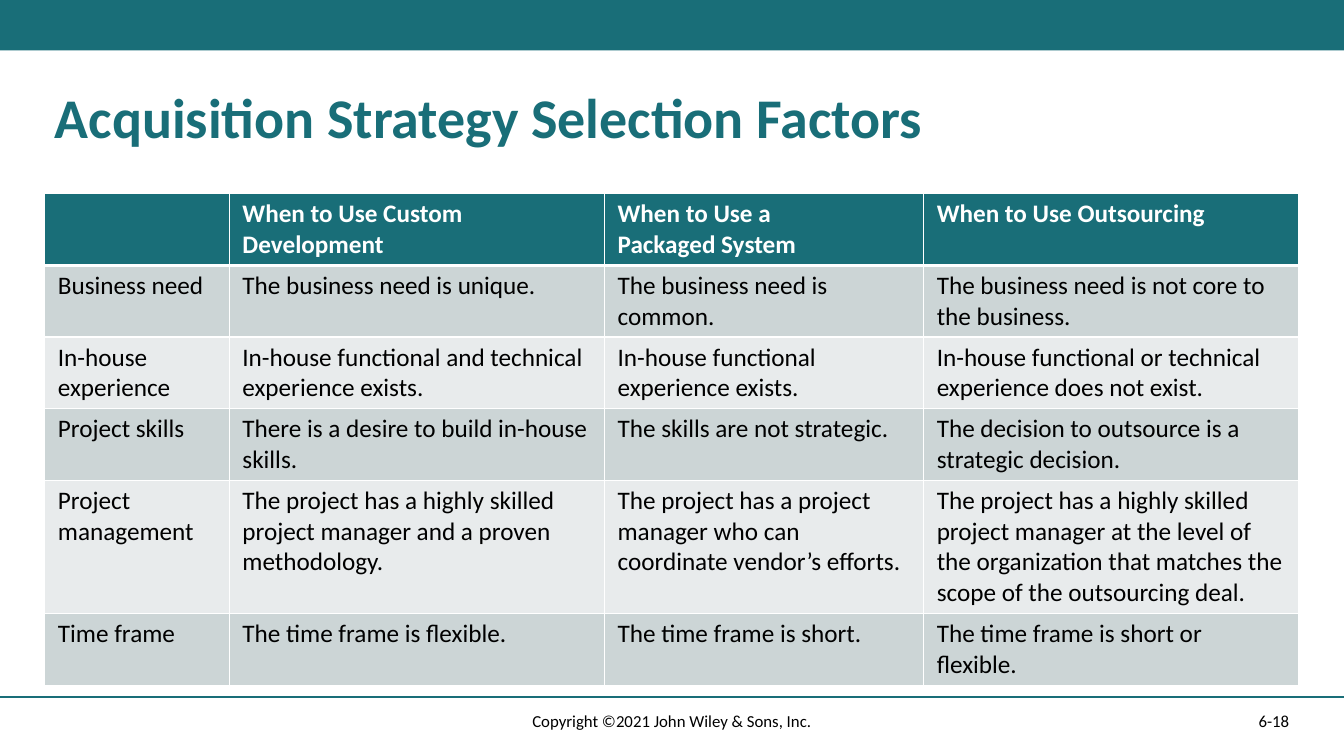
from dataclasses import dataclass

from lxml import etree
from pptx import Presentation
from pptx import util as u
from pptx.dml import color as c
from pptx.enum import shapes, text
from pptx.oxml import ns

TEAL, WHITE, BLACK = "196E78", "FFFFFF", "000000"
BANDS = ("CCD5D6", "E8EBEC")
SLIDE_WIDTH, SLIDE_HEIGHT = 960, 540
MARGIN = 32
COLUMN_WIDTHS = (131.8, 268, 228, 268)
ROW_HEIGHTS = (51, 51, 51, 51, 95.4, 51)
FACTORS = (
    ("", "When to Use Custom\nDevelopment", "When to Use a\nPackaged System",
     "When to Use Outsourcing"),
    ("Business need", "The business need is unique.",
     "The business need is common.",
     "The business need is not core to the business."),
    ("In-house experience",
     "In-house functional and technical experience exists.",
     "In-house functional\nexperience exists.",
     "In-house functional or technical\nexperience does not exist."),
    ("Project skills", "There is a desire to build in-house skills.",
     "The skills are not strategic.",
     "The decision to outsource is a strategic decision."),
    ("Project management",
     "The project has a highly skilled project manager and a proven methodology.",
     "The project has a project manager who can coordinate vendor’s efforts.",
     "The project has a highly skilled project manager at the level of the "
     "organization that matches the scope of the outsourcing deal."),
    ("Time frame", "The time frame is flexible.", "The time frame is short.",
     "The time frame is short or flexible."),
)


@dataclass
class Label:
    words: str
    left: float
    top: float
    width: float
    height: float
    size: float = 12
    color: str = BLACK
    bold: bool = False
    align: text.PP_ALIGN = text.PP_ALIGN.LEFT
    anchor: text.MSO_ANCHOR = text.MSO_ANCHOR.MIDDLE
    spacing: float = 1.0


LABELS = (
    Label("Acquisition Strategy Selection Factors", MARGIN, 61.2, 896, 77,
          size=40, color=TEAL, bold=True, anchor=text.MSO_ANCHOR.TOP, spacing=0.9),
    Label("6-18", 678, 500.4, 250, 28.8, align=text.PP_ALIGN.RIGHT),
    Label("Copyright ©2021 John Wiley & Sons, Inc.", 318, 500.4, 324, 28.8,
          align=text.PP_ALIGN.CENTER),
)


def rgb(value: str) -> c.RGBColor:
    return c.RGBColor.from_string(value)


def write(frame, words: str, *, size: float, color: str, bold: bool = False,
          align=text.PP_ALIGN.LEFT, spacing: float = 1.0) -> None:
    frame.word_wrap = True
    frame.text = words
    for paragraph in frame.paragraphs:
        paragraph.alignment = align
        paragraph.line_spacing = spacing
        for run in paragraph.runs:
            run.font.name = "Calibri"
            run.font.size = u.Pt(size)
            run.font.bold = bold
            run.font.color.rgb = rgb(color)


def add_label(slide, label: Label) -> None:
    box = slide.shapes.add_textbox(u.Pt(label.left), u.Pt(label.top),
                                   u.Pt(label.width), u.Pt(label.height))
    box.text_frame.vertical_anchor = label.anchor
    write(box.text_frame, label.words, size=label.size, color=label.color,
          bold=label.bold, align=label.align, spacing=label.spacing)


def add_border(cell, side: str, width: float) -> None:
    properties = cell._tc.get_or_add_tcPr()
    line = etree.SubElement(properties, ns.qn(f"a:ln{side}"), w=str(u.Pt(width)))
    fill = etree.SubElement(line, ns.qn("a:solidFill"))
    etree.SubElement(fill, ns.qn("a:srgbClr"), val=WHITE)


def add_factor_table(slide) -> None:
    frame = slide.shapes.add_table(
        len(FACTORS), len(COLUMN_WIDTHS), u.Pt(MARGIN), u.Pt(138.4),
        u.Pt(sum(COLUMN_WIDTHS)), u.Pt(sum(ROW_HEIGHTS)))
    table = frame.table
    table.horz_banding = False
    for column, width in zip(table.columns, COLUMN_WIDTHS):
        column.width = u.Pt(width)
    for row, height in zip(table.rows, ROW_HEIGHTS):
        row.height = u.Pt(height)
    for row_index, row_words in enumerate(FACTORS):
        header = row_index == 0
        for column_index, words in enumerate(row_words):
            cell = table.cell(row_index, column_index)
            cell.margin_left = cell.margin_right = u.Pt(9.4)
            cell.margin_top = cell.margin_bottom = u.Pt(3.6)
            # Thick rule between the header and the first factor
            for side in "LRTB":
                thick = (row_index, side) in ((0, "B"), (1, "T"))
                add_border(cell, side, 3 if thick else 1)
            cell.fill.solid()
            cell.fill.fore_color.rgb = rgb(
                TEAL if header else BANDS[(row_index - 1) % 2])
            write(cell.text_frame, words, size=18,
                  color=WHITE if header else BLACK, bold=header)


def add_frame(slide) -> None:
    # Top band
    band = slide.shapes.add_shape(shapes.MSO_SHAPE.RECTANGLE, 0, 0,
                                  u.Pt(SLIDE_WIDTH), u.Pt(36))
    band.shadow.inherit = False
    band.fill.solid()
    band.fill.fore_color.rgb = rgb(TEAL)
    band.line.fill.background()
    # Footer rule
    rule = slide.shapes.add_connector(shapes.MSO_CONNECTOR.STRAIGHT, 0, u.Pt(498),
                                      u.Pt(SLIDE_WIDTH), u.Pt(498))
    rule.line.color.rgb = rgb(TEAL)
    rule.line.width = u.Pt(1)
    etree.SubElement(rule._element.spPr, ns.qn("a:effectLst"))


def main() -> None:
    presentation = Presentation()
    presentation.slide_width = u.Pt(SLIDE_WIDTH)
    presentation.slide_height = u.Pt(SLIDE_HEIGHT)
    slide = presentation.slides.add_slide(presentation.slide_layouts[6])
    add_frame(slide)
    add_factor_table(slide)
    for label in LABELS:
        add_label(slide, label)
    presentation.save("out.pptx")


if __name__ == "__main__":
    main()
